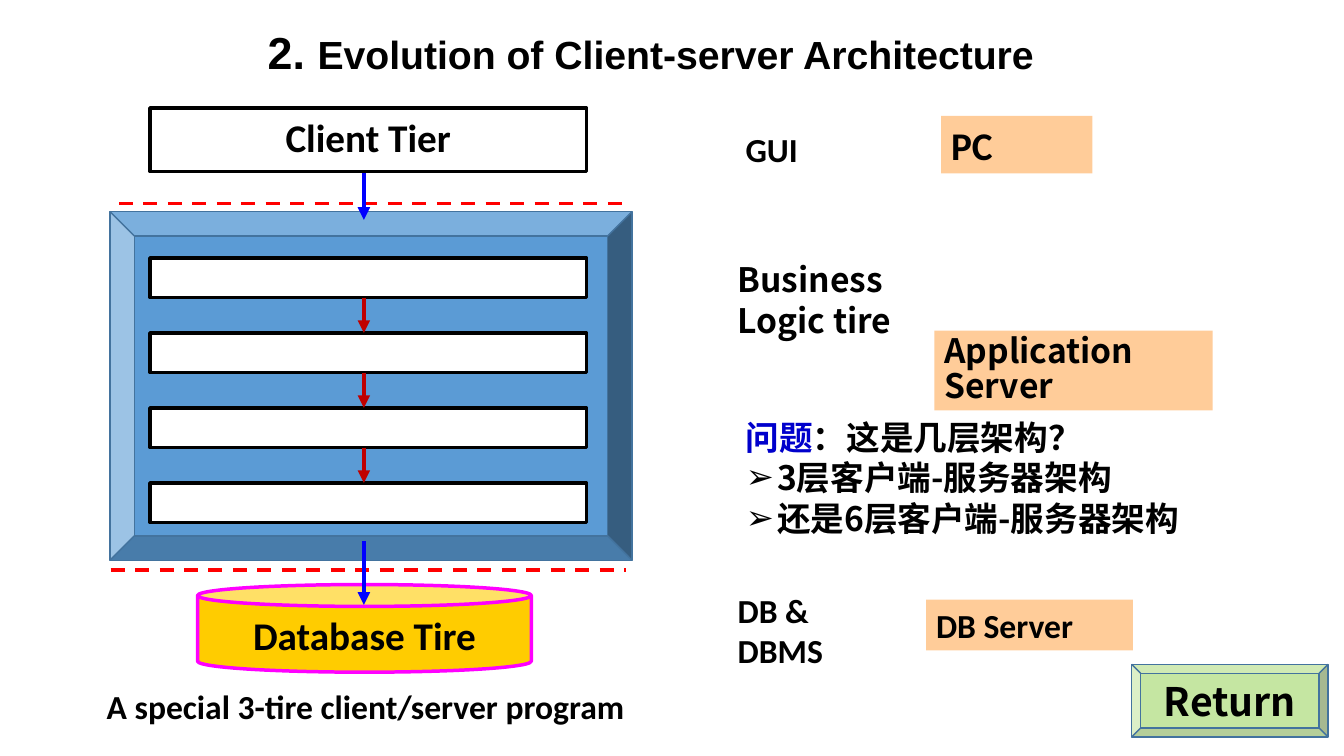
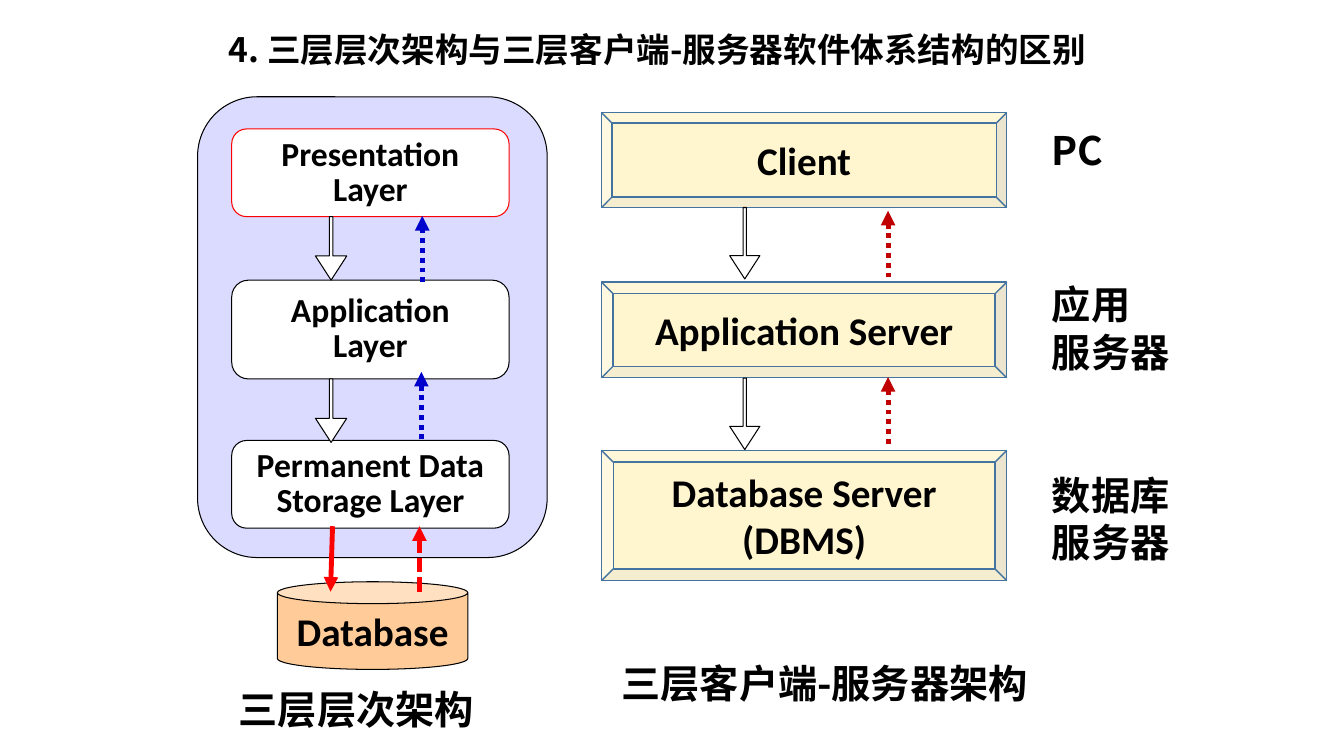
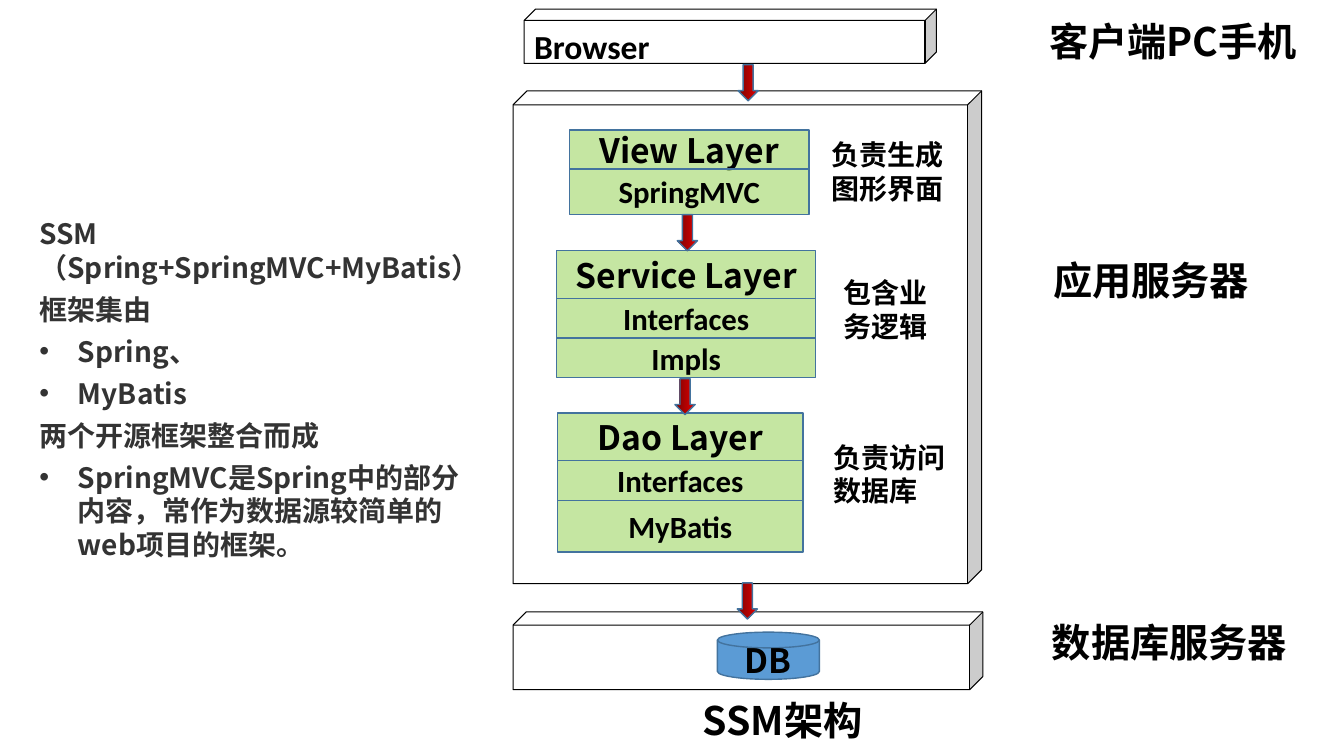
from dataclasses import dataclass, replace

from lxml.etree import SubElement
from pptx import Presentation
from pptx.dml.color import RGBColor
from pptx.enum.dml import MSO_LINE
from pptx.enum.shapes import MSO_CONNECTOR, MSO_SHAPE
from pptx.enum.text import MSO_ANCHOR, MSO_AUTO_SIZE, PP_ALIGN
from pptx.oxml.ns import qn
from pptx.util import Cm, Pt

LEFT, CENTER = PP_ALIGN.LEFT, PP_ALIGN.CENTER
TOP, MIDDLE = MSO_ANCHOR.TOP, MSO_ANCHOR.MIDDLE


@dataclass(frozen=True)
class Style:
    face: str
    size: int
    color: str = "000000"
    pitch: int = 0  # exact line height in points; 0 keeps the natural one


@dataclass(frozen=True)
class Theme:
    black: str = "000000"
    white: str = "FFFFFF"
    steel: str = "43739E"
    sky: str = "5B9BD5"
    peach: str = "FFCC99"
    gold: str = "FFCC00"
    pink: str = "FF00FF"
    red: str = "FF0000"
    brick: str = "C00000"
    blue: str = "0000FF"
    navy: str = "0000CC"
    green: str = "92D050"
    flame: tuple = ("E30000", "760303")
    thin: float = 0.75
    edge: float = 1
    bold: float = 2.5
    arrow: float = 3
    thick: float = 3.5
    number: Style = Style("Arial", 32)
    head: Style = Style("Arial", 28)
    name: Style = Style("Calibri", 28)
    label: Style = Style("Calibri", 24)
    layer: Style = Style("Calibri", 24, pitch=25)
    cell: Style = Style("Calibri", 22)
    big: Style = Style("Noto Sans CJK SC", 28, pitch=34)
    mid: Style = Style("Noto Sans CJK SC", 24, pitch=29)
    tight: Style = Style("Noto Sans CJK SC", 24, pitch=25)
    note: Style = Style("Noto Sans CJK SC", 20, pitch=24)
    prose: Style = Style("Noto Sans CJK SC", 20, "333333", 24)


T = Theme()


def rgb(code):
    return RGBColor.from_string(code)


def place(shape, box):
    shape.left, shape.top, shape.width, shape.height = map(Cm, box)


def add_para(frame, runs, align=LEFT, mark=None, indent=0, gap=0):
    """Add one paragraph of (text, style) runs; mark "" switches bullets off."""
    para = frame.paragraphs[0]
    first = not para.runs
    if not first:
        para = frame.add_paragraph()
    if mark is not None:
        props = para._p.get_or_add_pPr()
        props.set("marL", str(Cm(indent)))
        props.set("indent", str(-Cm(indent)))
        if mark:
            SubElement(props, qn("a:buChar")).set("char", mark)
        else:
            SubElement(props, qn("a:buNone"))
    para.alignment = align
    para.space_before = Pt(0 if first else gap)
    pitch = runs[0][1].pitch
    if pitch:
        para.line_spacing = Pt(pitch)
    for text, style in runs:
        run = para.add_run()
        run.text = text
        font = run.font
        font.size, font.bold, font.name = Pt(style.size), True, style.face
        font.color.rgb = rgb(style.color)
        east = SubElement(run._r.get_or_add_rPr(), qn("a:ea"))
        east.set("typeface", style.face)


def write(frame, text, style, align=LEFT, anchor=TOP):
    frame.word_wrap = True
    frame.vertical_anchor = anchor
    for line in text.split("\n"):
        add_para(frame, [(line, style)], align)


def add_text(slide, box, text, style, align=LEFT):
    write(slide.shapes.add_textbox(*map(Cm, box)).text_frame, text, style, align)


def add_title(slide, box, runs, align=LEFT):
    title = slide.shapes.title
    place(title, box)
    frame = title.text_frame
    frame.word_wrap, frame.auto_size = True, MSO_AUTO_SIZE.NONE
    frame.vertical_anchor = MIDDLE
    add_para(frame, runs, align)


def add_list(slide, box, rows, mark, indent, gap=0):
    """Fill the body with (bulleted, runs) rows."""
    body = slide.placeholders[1]
    place(body, box)
    frame = body.text_frame
    frame.word_wrap, frame.auto_size = True, MSO_AUTO_SIZE.NONE
    for dotted, runs in rows:
        add_para(frame, runs, LEFT, mark if dotted else "",
                 indent if dotted else 0, gap)


def add_form(slide, kind, box, fill, line=None, width=T.edge, adj=(), alpha=100):
    form = slide.shapes.add_shape(kind, *map(Cm, box))
    form.shadow.inherit = False
    for index, value in enumerate(adj):
        form.adjustments[index] = value
    form.fill.solid()
    form.fill.fore_color.rgb = rgb(fill)
    if alpha < 100:
        color = form._element.spPr.find(".//" + qn("a:srgbClr"))
        SubElement(color, qn("a:alpha")).set("val", str(alpha * 1000))
    if line:
        form.line.color.rgb = rgb(line)
        form.line.width = Pt(width)
    else:
        form.line.fill.background()
    return form


def add_line(slide, start, end, color, width, dash=None, tip=True):
    link = slide.shapes.add_connector(
        MSO_CONNECTOR.STRAIGHT, *map(Cm, start + end))
    link.line.color.rgb = rgb(color)
    link.line.width = Pt(width)
    if dash:
        link.line.dash_style = dash
    props = link._element.spPr
    if tip:
        SubElement(props.find(qn("a:ln")), qn("a:tailEnd")).set("type", "triangle")
    SubElement(props, qn("a:effectLst"))


def add_hollow(slide, box):
    add_form(slide, MSO_SHAPE.DOWN_ARROW, box, T.white, T.black, T.thin, (0.11, 0.77))


def add_flame(slide, x, y):
    form = add_form(slide, MSO_SHAPE.DOWN_ARROW, (x, y, 0.51, 0.91),
                    T.brick, T.steel, adj=(0.5, 0.5))
    form.fill.gradient()
    form.fill.gradient_angle = 180
    for stop, code in zip(form.fill.gradient_stops, T.flame):
        stop.color.rgb = rgb(code)


def add_cube(slide, box, adj):
    return add_form(slide, MSO_SHAPE.CUBE, box, T.white, T.black, T.thin, (adj,))


def add_stack(slide, x, y, width, rows):
    """Pile up green (text, height) cells, the first one as heading."""
    for index, (text, height) in enumerate(rows):
        cell = add_form(slide, MSO_SHAPE.RECTANGLE, (x, y, width, height),
                        T.green, T.steel, alpha=53)
        write(cell.text_frame, text, T.cell if index else T.mid, CENTER, MIDDLE)
        y += height


def draw_tiers(slide):
    add_title(slide, (5.4, 0.5, 22, 1.6),
              [("2. ", T.number), ("Evolution of Client-server Architecture", T.head)],
              CENTER)
    add_form(slide, MSO_SHAPE.BEVEL, (2.77, 5.33, 13.16, 8.79), T.sky, T.steel, adj=(0.07,))
    left, wide, axis = 3.78, 11, 9.17
    top, step, high = 6.5, 1.89, 1
    rows = [top + step * i for i in range(4)]
    for y in rows:
        add_form(slide, MSO_SHAPE.RECTANGLE, (left, y, wide, high), T.white, T.black, T.bold)
    client = add_form(slide, MSO_SHAPE.RECTANGLE, (left, 2.72, wide, 1.6),
                      T.white, T.black, T.bold)
    write(client.text_frame, "Client Tier", T.name, CENTER)
    base = add_form(slide, MSO_SHAPE.CAN, (4.98, 14.73, 8.41, 2.21),
                    T.gold, T.pink, T.bold, (0.25,))
    write(base.text_frame, "Database Tire", T.name, CENTER)
    for x, y in ((3, 5.13), (2.79, 14.36)):
        add_line(slide, (x, y), (15.77, y), T.red, T.bold, MSO_LINE.DASH, False)
    for y, end in ((4.36, 5.54), (13.64, 15.24)):
        add_line(slide, (axis, y), (axis, end), T.blue, T.arrow)
    for y, end in zip(rows, rows[1:]):
        add_line(slide, (axis, y + high), (axis, end), T.brick, T.arrow)

    for box, text, style in (
        ((2.44, 17.15, 16.1, 1.27), "A special 3-tire client/server program", T.label),
        ((18.54, 3.12, 3.2, 1.27), "GUI", T.label),
        ((18.34, 6.4, 4.6, 3.33), "Business Logic tire", T.mid),
        ((18.34, 14.73, 3.4, 2.31), "DB &\nDBMS", T.label),
    ):
        add_text(slide, box, text, style)
    for box, text, style in (
        ((23.72, 2.92, 3.81, 1.45), "PC", T.name),
        ((23.55, 8.33, 7.01, 2.01), "Application\nServer", T.tight),
        ((23.34, 15.11, 5.21, 1.28), "DB Server", T.label),
    ):
        host = add_form(slide, MSO_SHAPE.RECTANGLE, box, T.peach)
        write(host.text_frame, text, style)
    add_list(slide, (18.54, 10.36, 13.89, 3.33), [
        (False, [("问题", replace(T.mid, color=T.navy)), ("：这是几层架构？", T.mid)]),
        (True, [("3层客户端-服务器架构", T.mid)]),
        (True, [("还是6层客户端-服务器架构", T.mid)]),
    ], "➢", 0.79)
    back = add_form(slide, MSO_SHAPE.BEVEL, (28.52, 16.74, 4.95, 1.83),
                    T.green, T.steel, alpha=53)
    write(back.text_frame, "Return", T.big, CENTER, MIDDLE)


def draw_contrast(slide):
    add_title(slide, (5.51, 0.33, 23.2, 1.8),
              [("4. 三层层次架构与三层客户端-服务器软件体系结构的区别", T.mid)])
    add_form(slide, MSO_SHAPE.ROUNDED_RECTANGLE, (4.98, 2.44, 8.81, 11.61),
             T.blue, T.black, T.thin, (0.17,), 14)
    for y, high, text, edge in (
        (3.25, 2.21, "Presentation\nLayer", T.red),
        (7.06, 2.49, "Application\nLayer", T.black),
        (11.1, 2.21, "Permanent Data\nStorage Layer", T.black),
    ):
        layer = add_form(slide, MSO_SHAPE.ROUNDED_RECTANGLE, (5.84, y, 6.99, high),
                         T.white, edge, T.thin, (0.17,))
        write(layer.text_frame, text, T.layer, CENTER, MIDDLE)
    for y, high, adj, text in (
        (2.84, 2.39, 0.11, "Client"),
        (7.11, 2.41, 0.12, "Application Server"),
        (11.35, 3.28, 0.09, "Database Server\n(DBMS)"),
    ):
        tier = add_form(slide, MSO_SHAPE.BEVEL, (15.16, y, 10.21, high),
                        T.gold, T.steel, adj=(adj,), alpha=19)
        write(tier.text_frame, text, T.name, CENTER, MIDDLE)
    for box in ((7.95, 5.46, 0.79, 1.6), (7.95, 9.55, 0.79, 1.6),
                (18.39, 5.23, 0.76, 1.8), (18.39, 9.53, 0.76, 1.8)):
        add_hollow(slide, box)
    for x, y, end, color in (
        (10.64, 7.11, 5.44, T.navy), (10.62, 11.07, 9.37, T.navy),
        (22.38, 6.99, 5.31, T.brick), (22.38, 11.18, 9.5, T.brick),
    ):
        add_line(slide, (x, y), (x, end), color, T.thick, MSO_LINE.ROUND_DOT)
    base = add_form(slide, MSO_SHAPE.CAN, (6.99, 14.66, 4.8, 2.21),
                    T.peach, T.black, T.thin, (0.25,))
    write(base.text_frame, "Database", T.name, CENTER, MIDDLE)
    add_line(slide, (8.38, 13.26), (8.33, 14.91), T.red, T.thick)
    add_line(slide, (10.57, 14.91), (10.57, 13.26), T.red, T.thick, MSO_LINE.SQUARE_DOT)

    for y, text in ((3.05, "PC"), (6.93, "应用\n服务器"), (11.73, "数据库\n服务器")):
        add_text(slide, (26.26, y, 4, 1.45), text, T.big)
    add_text(slide, (5.77, 17.12, 7, 1.45), "三层层次架构", T.big)
    add_text(slide, (14.58, 16.48, 12.4, 1.45), "三层客户端-服务器架构", T.big, CENTER)


def draw_stack(slide):
    add_title(slide, (17.45, 17.35, 5.2, 1.55), [("SSM架构", T.big)])
    add_list(slide, (0.74, 5.33, 11.63, 9.02), [
        (dotted, [(text, T.prose)]) for dotted, text in (
            (False, "SSM（Spring+SpringMVC+MyBatis）"),
            (False, "框架集由"),
            (True, "Spring、"),
            (True, "MyBatis"),
            (False, "两个开源框架整合而成"),
            (True, "SpringMVC是Spring中的部分内容，常作为数据源较简单的web项目的框架。"),
        )
    ], "•", 0.97, 6)
    add_cube(slide, (12.93, 2.29, 11.81, 12.42), 0.03)
    client = add_cube(slide, (13.21, 0.23, 10.39, 1.37), 0.21)
    write(client.text_frame, "Browser", T.label)
    add_cube(slide, (12.93, 15.42, 11.84, 1.96), 0.17)
    disk = add_form(slide, MSO_SHAPE.FLOWCHART_MAGNETIC_DISK, (18.08, 15.93, 2.57, 1.19),
                    T.sky, T.steel)
    write(disk.text_frame, "DB", T.mid, CENTER, MIDDLE)
    add_stack(slide, 14.35, 3.28, 6.04, [("View Layer", 0.98), ("SpringMVC", 1.14)])
    add_stack(slide, 14.03, 6.32, 6.53,
              [("Service Layer", 1.2), ("Interfaces", 1), ("Impls", 1)])
    add_stack(slide, 14.05, 10.41, 6.19,
              [("Dao Layer", 1.2), ("Interfaces", 1), ("MyBatis", 1.3)])
    for x, y in ((18.6, 1.63), (17.07, 5.41), (17.01, 9.54), (18.58, 14.69)):
        add_flame(slide, x, y)
    for x, y, text in ((26.19, 0.3, "客户端PC手机"), (26.29, 6.32, "应用服务器"),
                       (26.26, 15.44, "数据库服务器")):
        add_text(slide, (x, y, 7.4, 1.45), text, T.big)
    for x, y, wide, text in ((20.7, 3.35, 3.43, "负责生成图形界面"),
                             (21.01, 6.83, 3.15, "包含业务逻辑"),
                             (20.75, 10.97, 3.43, "负责访问数据库")):
        add_text(slide, (x, y, wide, 1.96), text, T.note)


def main():
    deck = Presentation()
    deck.slide_width, deck.slide_height = Cm(33.87), Cm(19.05)
    listed, plain = deck.slide_layouts[1], deck.slide_layouts[5]
    for layout, draw in ((listed, draw_tiers), (plain, draw_contrast), (listed, draw_stack)):
        draw(deck.slides.add_slide(layout))
    deck.save("out.pptx")


if __name__ == "__main__":
    main()
